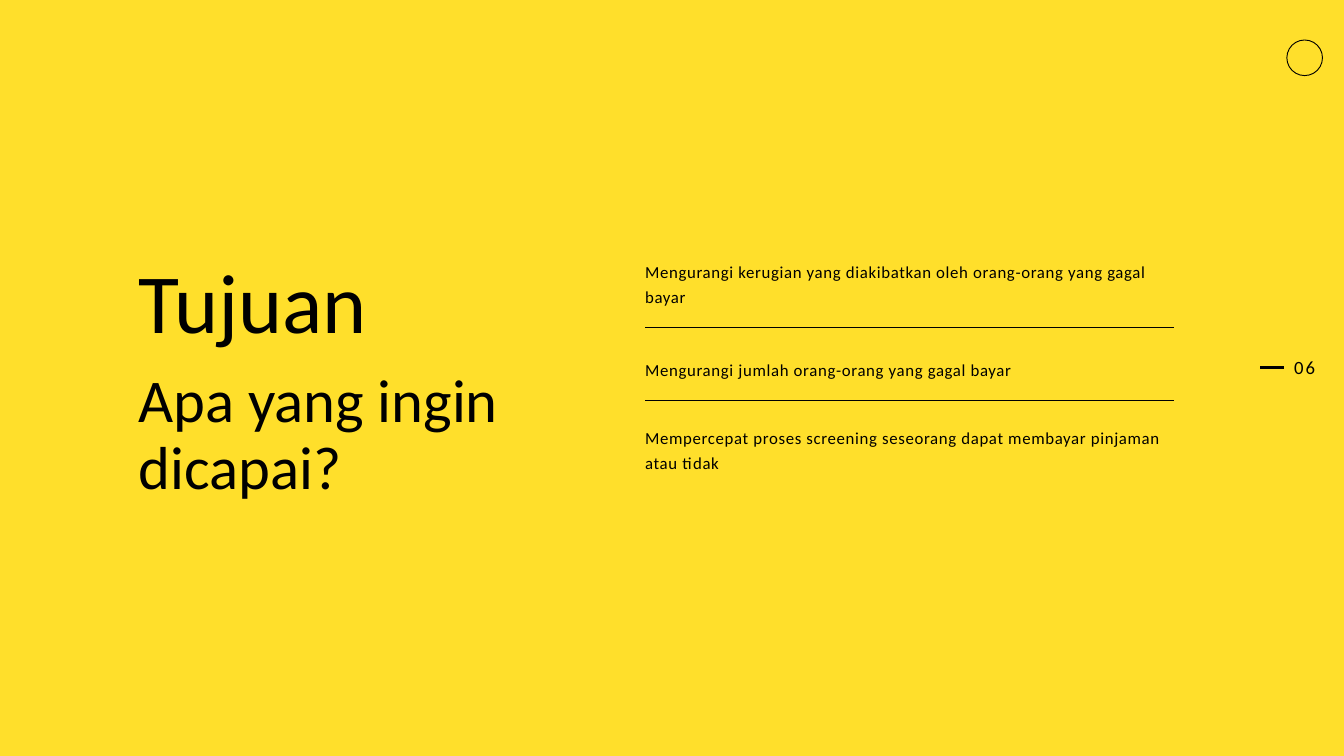
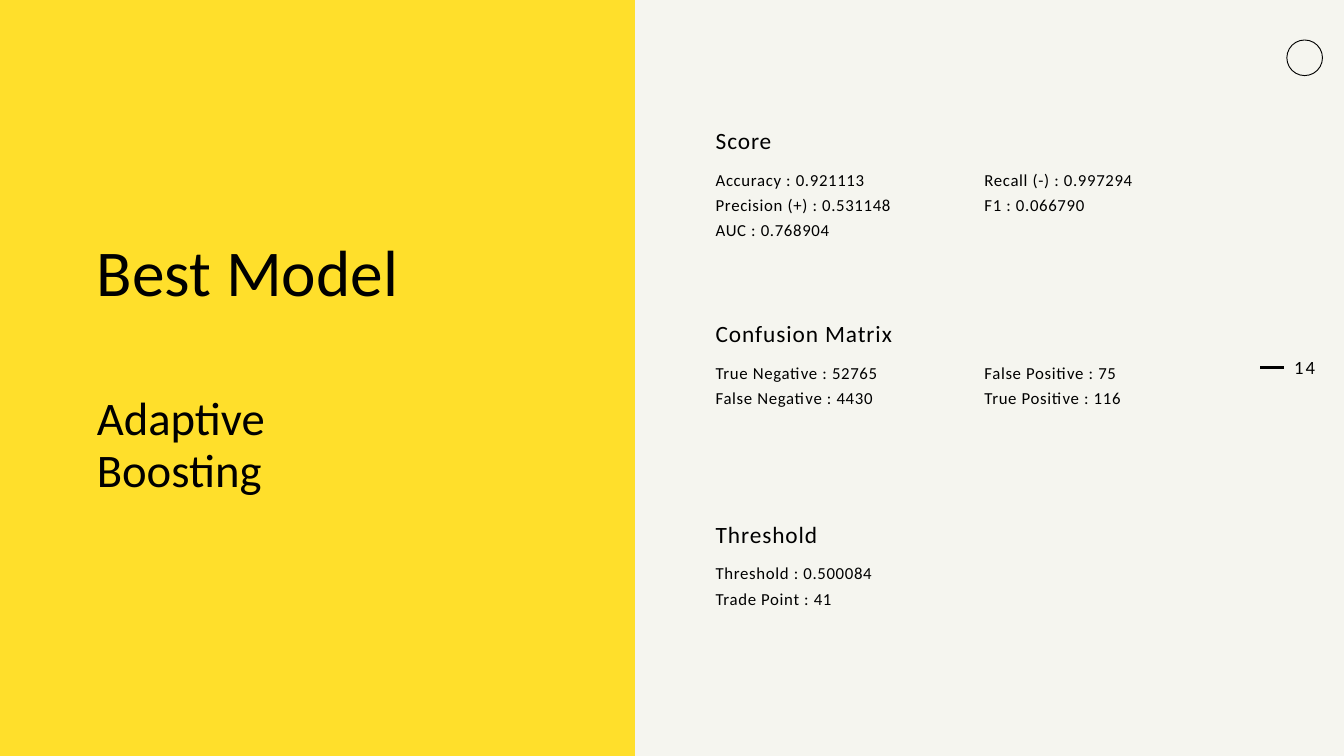
from lxml.etree import SubElement
from pptx import Presentation
from pptx.dml.color import RGBColor
from pptx.enum.shapes import MSO_CONNECTOR, MSO_SHAPE
from pptx.enum.text import MSO_ANCHOR, MSO_AUTO_SIZE, PP_ALIGN
from pptx.oxml.ns import qn
from pptx.util import Inches, Pt

INK = {name: RGBColor.from_string(code) for name, code in
       {"sun": "FFDF2B", "paper": "F5F5EF", "black": "000000"}.items()}
FONT = "Calibri"

deck = Presentation()
deck.slide_width, deck.slide_height = Inches(20), Inches(11.25)


def box(x, y, w, h):
    """Turn percentages of the slide into lengths."""
    wide, high = deck.slide_width / 100, deck.slide_height / 100
    return [round(n) for n in (x * wide, y * high, w * wide, h * high)]


def put(slide, text, area, size, lead, gap=0, align=PP_ALIGN.LEFT, tab=None, title=False):
    """Write each line of text as a paragraph, in the title or in a new text box."""
    place = box(*area)
    if title:
        shape = slide.shapes.title
        shape.left, shape.top, shape.width, shape.height = place
    else:
        shape = slide.shapes.add_textbox(*place)
    frame = shape.text_frame
    frame.word_wrap, frame.auto_size = True, MSO_AUTO_SIZE.NONE
    frame.vertical_anchor = MSO_ANCHOR.TOP
    frame.margin_left = frame.margin_right = frame.margin_top = frame.margin_bottom = 0
    frame.text = text
    for para in frame.paragraphs:
        para.alignment, para.line_spacing = align, Pt(lead)
        if tab:
            stops = SubElement(para._p.get_or_add_pPr(), qn("a:tabLst"))
            SubElement(stops, qn("a:tab"), pos=str(box(tab, 0, 0, 0)[0]), algn="l")
        for run in para.runs:
            run.font.name, run.font.size = FONT, Pt(size)
            run.font.color.rgb = INK["black"]
            run._r.get_or_add_rPr().set("spc", str(round(gap * 100)))


# Shared frame: background, panel, ring, page number and lines
DASH = (93.78, 48.58, 1.75, 3)
RULES = [(48, y, 39.35, 0.75) for y in (43.33, 53.02)]
pages = []
for number, panel, lines in (("06", False, [DASH] + RULES), ("14", True, [DASH])):
    slide = deck.slides.add_slide(deck.slide_layouts[5])
    slide.background.fill.solid()
    slide.background.fill.fore_color.rgb = INK["sun"]
    if panel:
        side = slide.shapes.add_shape(MSO_SHAPE.RECTANGLE, *box(47.25, 0, 52.75, 100))
        side.shadow.inherit = False
        side.fill.solid()
        side.fill.fore_color.rgb = INK["paper"]
        side.line.fill.background()
    ring = slide.shapes.add_shape(MSO_SHAPE.OVAL, *box(95.75, 5.29, 2.65, 4.71))
    ring.shadow.inherit = False
    ring.fill.background()
    ring.line.color.rgb, ring.line.width = INK["black"], Pt(1)
    put(slide, number, (95.35, 47.02, 2.5, 3.02), 20, 24, gap=2, align=PP_ALIGN.RIGHT)
    for x, y, w, thick in lines:
        left, top, width, _ = box(x, y, w, 0)
        line = slide.shapes.add_connector(MSO_CONNECTOR.STRAIGHT, left, top, left + width, top)
        line.line.color.rgb, line.line.width = INK["black"], Pt(thick)
        SubElement(line._element.spPr, qn("a:effectLst"))
    pages.append(slide)
goals, model = pages

# Goals
put(goals, "Tujuan", (10.3, 34.13, 34.3, 12.71), 90, 99, title=True)
put(goals, "Apa yang ingin dicapai?", (10.3, 48.71, 30.4, 17.96), 65, 71.5)
for y, goal in (
    (33.96, "Mengurangi kerugian yang diakibatkan oleh orang-orang yang gagal bayar"),
    (46.93, "Mengurangi jumlah orang-orang yang gagal bayar"),
    (55.91, "Mempercepat proses screening seseorang dapat membayar pinjaman atau tidak"),
):
    put(goals, goal, (48, y, 39.35, 6.4), 18, 27, gap=0.7)

# Best model
put(model, "Best Model", (7.2, 31.47, 28.3, 9.6), 70, 77, title=True)
put(model, "Adaptive Boosting", (7.2, 52.09, 25.05, 13.69), 50, 55)
for y, head, rows in (
    (16.36, "Score", ["Accuracy : 0.921113\tRecall (-) : 0.997294",
                      "Precision (+) : 0.531148\tF1 : 0.066790",
                      "AUC : 0.768904"]),
    (41.96, "Confusion Matrix", ["True Negative : 52765\tFalse Positive : 75",
                                 "False Negative : 4430\tTrue Positive : 116"]),
    (68.44, "Threshold", ["Threshold : 0.500084", "Trade Point : 41"]),
):
    put(model, head, (53.25, y, 21.5, 3.82), 25, 32.5, gap=1)
    put(model, "\n".join(rows), (53.25, y + 5.38, 33.35, 3.3 * len(rows)), 18, 27,
        gap=0.7, tab=20)

deck.save("out.pptx")
